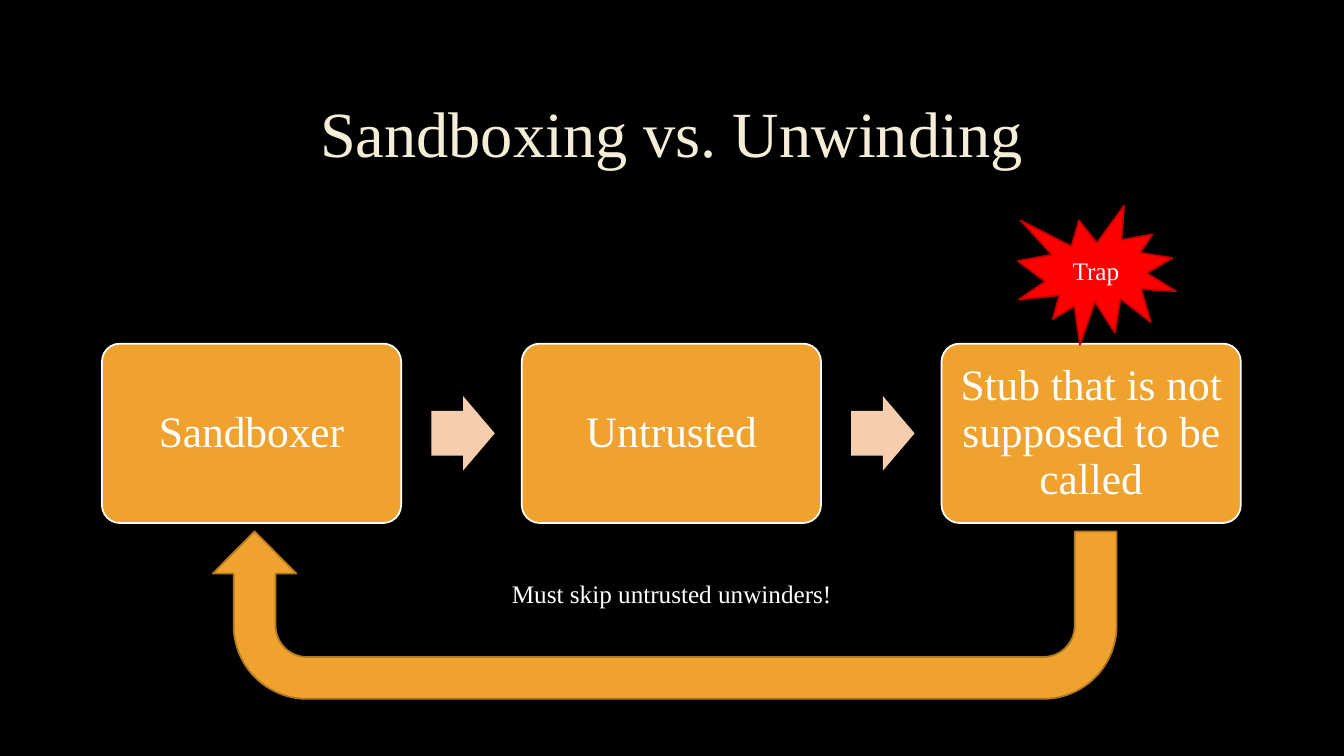
"""Build the slide on sandboxing and unwinding as a flow of three boxes."""
from pptx import Presentation
from pptx import util as u
from pptx.dml.color import RGBColor
from pptx.enum import shapes, text

BLACK = RGBColor(0x00, 0x00, 0x00)
WHITE = RGBColor(0xFF, 0xFF, 0xFF)
CREAM = RGBColor(0xF4, 0xED, 0xD8)
ORANGE = RGBColor(0xF0, 0xA2, 0x2E)
BROWN = RGBColor(0xB2, 0x78, 0x22)
PEACH = RGBColor(0xF6, 0xCE, 0xAD)
RED = RGBColor(0xFF, 0x00, 0x00)
DARK_RED = RGBColor(0xC0, 0x00, 0x00)

KIND = shapes.MSO_SHAPE
CENTER = text.PP_ALIGN.CENTER
MIDDLE = text.MSO_ANCHOR.MIDDLE


class Deck:
    """Hold the text style and the current slide, and add elements to it."""

    def __init__(self, width, height, font):
        self.prs = Presentation()
        self.prs.slide_width, self.prs.slide_height = u.Cm(width), u.Cm(height)
        self.font = font

    def new_slide(self, color):
        self.s = self.prs.slides.add_slide(self.prs.slide_layouts[5])
        fill = self.s.background.fill
        fill.solid()
        fill.fore_color.rgb = color

    def set_text(self, sp, words, size, color=WHITE, spacing=1.0, **frame):
        tf = sp.text_frame
        p = tf.paragraphs[0]
        r = p.add_run()
        r.text = words
        r.font.color.rgb = color
        formats = (
            (tf, {"word_wrap": True, "vertical_anchor": MIDDLE, **frame}),
            (p, {"alignment": CENTER, "line_spacing": spacing}),
            (r.font, {"name": self.font, "size": u.Pt(size)}),
        )
        for target, values in formats:
            for name, value in values.items():
                setattr(target, name, value)

    def title(self, words, box, size, color):
        sp = self.s.shapes.title
        sp.left, sp.top, sp.width, sp.height = map(u.Cm, box)
        self.set_text(sp, words, size, color, 0.9, auto_size=text.MSO_AUTO_SIZE.NONE)

    def shape(self, kind, box, fill, line=None, adjust=()):
        sp = self.s.shapes.add_shape(kind, *map(u.Cm, box))
        sp.shadow.inherit = False
        sp.fill.solid()
        sp.fill.fore_color.rgb = fill
        if line is None:
            sp.line.fill.background()
        else:
            sp.line.color.rgb = line
            sp.line.width = u.Pt(1.25)
        for i, value in enumerate(adjust):
            sp.adjustments[i] = value
        return sp

    def label(self, words, box, size):
        sp = self.s.shapes.add_textbox(*map(u.Cm, box))
        self.set_text(sp, words, size, word_wrap=False)


def main():
    deck = Deck(33.87, 19.05, "Times New Roman")
    deck.new_slide(BLACK)
    deck.title("Sandboxing vs. Unwinding", (2.54, 1.7, 28.75, 3.51), 46, CREAM)

    left, top, pitch = 2.57, 8.66, 10.58
    inset = u.Cm(0.33)
    margins = {f"margin_{side}": inset for side in ("left", "top", "right", "bottom")}
    steps = ("Sandboxer", "Untrusted", "Stub that is not supposed to be called")
    for i, step in enumerate(steps):
        x = left + i * pitch
        if i:
            deck.shape(KIND.RIGHT_ARROW, (x - 2.28, 9.98, 1.6, 1.88), PEACH,
                       adjust=(0.6, 0.5))
        sp = deck.shape(KIND.ROUNDED_RECTANGLE, (x, top, 7.54, 4.52), ORANGE, WHITE, (0.1,))
        deck.set_text(sp, step, 31, spacing=0.9, **margins)

    back = deck.shape(KIND.U_TURN_ARROW, (5.36, 13.39, 22.78, 4.22), ORANGE, BROWN,
                      (0.25, 0.25, 0.252, 0.438, 1))
    back.rotation = 180
    deck.label("Must skip untrusted unwinders!", (12.65, 14.45, 8.56, 1.02), 18)
    trap = deck.shape(KIND.EXPLOSION1, (25.65, 5.18, 3.99, 3.51), RED, DARK_RED)
    deck.set_text(trap, "Trap", 18)

    deck.prs.save("out.pptx")


if __name__ == "__main__":
    main()
